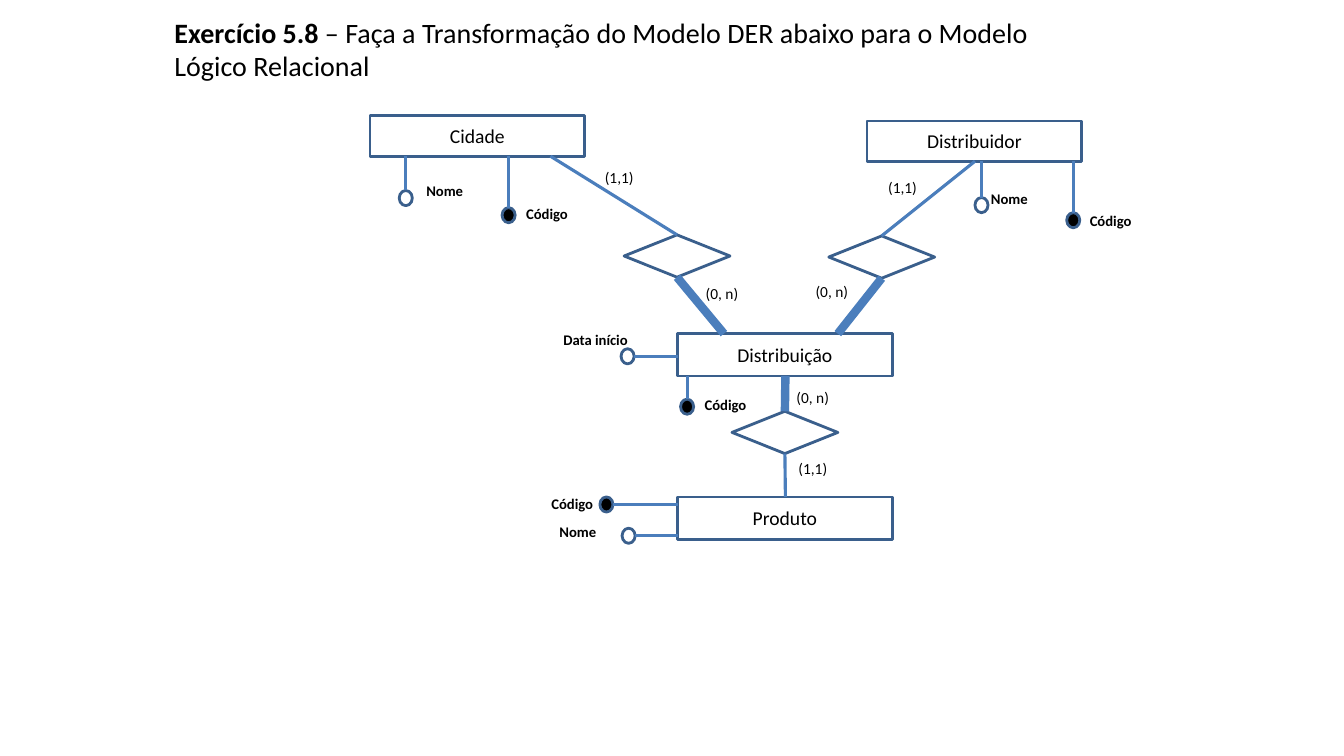
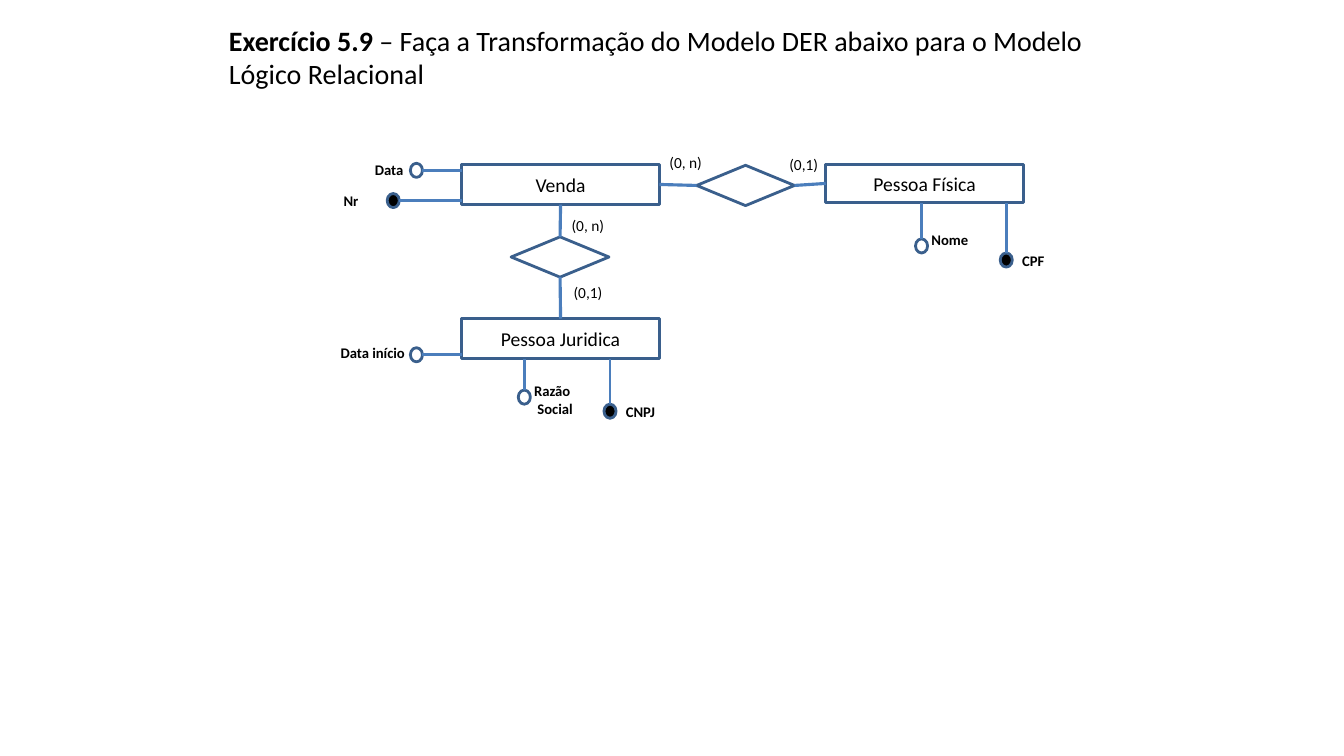
from lxml import etree
from pptx import Presentation
from pptx.dml.color import RGBColor
from pptx.enum.shapes import MSO_CONNECTOR, MSO_SHAPE
from pptx.enum.text import MSO_ANCHOR, MSO_AUTO_SIZE, PP_ALIGN
from pptx.oxml.ns import qn
from pptx.util import Inches, Pt

STRAIGHT = MSO_CONNECTOR.STRAIGHT
ENTITY = MSO_SHAPE.RECTANGLE
RELATION = MSO_SHAPE.FLOWCHART_DECISION
ATTRIBUTE = MSO_SHAPE.FLOWCHART_CONNECTOR
LEFT, CENTER = PP_ALIGN.LEFT, PP_ALIGN.CENTER
MIDDLE, NO_AUTOFIT = MSO_ANCHOR.MIDDLE, MSO_AUTO_SIZE.NONE

FONT = "Calibri"
COLORS = {"text": "000000", "paper": "FFFFFF", "outline": "3A5F8C", "line": "4B7EBC"}
TOP, WEST, BOTTOM, EAST = range(4)
THIN, MEDIUM, THICK = 2, 2.25, 6
TITLE_TEXT = " – Faça a Transformação do Modelo DER abaixo para o Modelo Lógico Relacional"
TITLE_SIZE = (9, 0.87)
LABEL_WIDTHS = {"Código": 0.68, "Nome": 0.62, "Data início": 0.93, "Data": 0.53,
                "Nr": 0.38, "CPF": 0.47, "CNPJ": 0.54, "Razão\n Social": 0.64}
CARDINALITY_WIDTH = 0.61
LABEL_HEIGHT = 0.29

# entities: name -> left, top, height
# relations: name -> left, top
# links: relation, corner, entity point, weight, cardinality, label left and top
# attributes: entity, label, label left and top, is key, circle left and top
DIAGRAMS = [
    {
        "heading": "Exercício 5.8",
        "title_at": (1.63, 0.05),
        "scale": 1,
        "entity_width": 2.13,
        "relation_size": (1.05, 0.42),
        "circle_size": (0.13, 0.15),
        "entities": {
            "Cidade": (3.67, 1.15, 0.4),
            "Distribuidor": (8.6, 1.2, 0.4),
            "Distribuição": (6.72, 3.31, 0.42),
            "Produto": (6.72, 4.93, 0.42),
        },
        "relations": {"city": (6.19, 2.33), "distributor": (8.22, 2.34), "product": (7.26, 4.08)},
        "links": [
            ("city", TOP, 5.46, 1.55, MEDIUM, "(1,1)", 5.9, 1.62),
            ("city", BOTTOM, 7.18, 3.31, THICK, "(0, n)", 6.9, 2.77),
            ("distributor", TOP, 9.67, 1.6, MEDIUM, "(1,1)", 8.71, 1.72),
            ("distributor", BOTTOM, 8.31, 3.31, THICK, "(0, n)", 7.99, 2.75),
            ("product", TOP, 7.79, 3.73, THICK, "(0, n)", 7.8, 3.8),
            ("product", BOTTOM, 7.79, 4.93, MEDIUM, "(1,1)", 7.82, 4.51),
        ],
        "attributes": [
            ("Cidade", "Nome", 4.13, 1.75, False, 3.96, 1.89),
            ("Cidade", "Código", 5.12, 1.98, True, 4.98, 2.06),
            ("Distribuidor", "Nome", 9.73, 1.83, False, 9.67, 1.96),
            ("Distribuidor", "Código", 10.71, 2.05, True, 10.58, 2.11),
            ("Distribuição", "Data início", 5.49, 3.23, False, 6.16, 3.46),
            ("Distribuição", "Código", 6.89, 3.88, True, 6.75, 3.96),
            ("Produto", "Código", 5.37, 4.86, True, 5.95, 4.93),
            ("Produto", "Nome", 5.45, 5.14, False, 6.17, 5.24),
        ],
    },
    {
        "heading": "Exercício 5.9",
        "title_at": (2.17, 0.13),
        "scale": 0.92,
        "entity_width": 1.96,
        "relation_size": (0.97, 0.4),
        "circle_size": (0.12, 0.14),
        "entities": {
            "Venda": (4.58, 1.63, 0.4),
            "Pessoa Física": (8.19, 1.63, 0.38),
            "Pessoa Juridica": (4.58, 3.16, 0.4),
        },
        "relations": {"person": (6.91, 1.64), "company": (5.07, 2.35)},
        "links": [
            ("person", WEST, 6.54, 1.83, MEDIUM, "(0, n)", 6.54, 1.47),
            ("person", EAST, 8.19, 1.82, MEDIUM, "(0,1)", 7.73, 1.49),
            ("company", TOP, 5.56, 2.03, MEDIUM, "(0, n)", 5.57, 2.09),
            ("company", BOTTOM, 5.56, 3.16, MEDIUM, "(0,1)", 5.59, 2.76),
        ],
        "attributes": [
            ("Venda", "Data", 3.62, 1.55, False, 4.07, 1.62),
            ("Venda", "Nr", 3.31, 1.85, True, 3.84, 1.92),
            ("Pessoa Física", "Nome", 9.14, 2.24, False, 9.08, 2.37),
            ("Pessoa Física", "CPF", 10.04, 2.45, True, 9.92, 2.51),
            ("Pessoa Juridica", "Data início", 3.28, 3.36, False, 4.07, 3.45),
            ("Pessoa Juridica", "Razão\n Social", 5.2, 3.74, False, 5.14, 3.87),
            ("Pessoa Juridica", "CNPJ", 6.11, 3.95, True, 5.99, 4.01),
        ],
    },
]


def add_line(slide, begin_x, begin_y, end_x, end_y, weight):
    points = [Inches(value) for value in (begin_x, begin_y, end_x, end_y)]
    connector = slide.shapes.add_connector(STRAIGHT, *points)
    connector.line.color.rgb = RGBColor.from_string(COLORS["line"])
    connector.line.width = Pt(weight)
    etree.SubElement(connector._element.spPr, qn("a:effectLst"))
    return connector


def add_label(slide, text, left, top, width, size, bold):
    box = slide.shapes.add_textbox(Inches(left), Inches(top), Inches(width), Inches(LABEL_HEIGHT))
    box.text_frame.word_wrap = not bold
    box.text_frame.text = text
    for paragraph in box.text_frame.paragraphs:
        paragraph.font.name = FONT
        paragraph.font.size = Pt(size)
        paragraph.font.bold = bold
        paragraph.font.color.rgb = RGBColor.from_string(COLORS["text"])


presentation = Presentation()
presentation.slide_width = Inches(13.33)
presentation.slide_height = Inches(7.5)

for diagram in DIAGRAMS:
    slide = presentation.slides.add_slide(presentation.slide_layouts[5])
    title = slide.shapes.title
    title.left, title.top = [Inches(value) for value in diagram["title_at"]]
    title.width, title.height = [Inches(value) for value in TITLE_SIZE]
    title.text_frame.auto_size = NO_AUTOFIT
    title.text_frame.vertical_anchor = MIDDLE
    paragraph = title.text_frame.paragraphs[0]
    paragraph.alignment = LEFT
    paragraph.font.name = FONT
    paragraph.font.size = Pt(20)
    paragraph.font.color.rgb = RGBColor.from_string(COLORS["text"])
    for text, bold in ((diagram["heading"], True), (TITLE_TEXT, False)):
        run = paragraph.add_run()
        run.text = text
        run.font.bold = bold

    entity_width = diagram["entity_width"]
    circle_width, circle_height = diagram["circle_size"]
    nodes = [(ENTITY, name, (left, top, entity_width, height), "paper")
             for name, (left, top, height) in diagram["entities"].items()]
    nodes += [(RELATION, name, (*corner, *diagram["relation_size"]), "paper")
              for name, corner in diagram["relations"].items()]
    nodes += [(ATTRIBUTE, label, (left, top, circle_width, circle_height), "text" if is_key else None)
              for _, label, _, _, is_key, left, top in diagram["attributes"]]

    relations = {}
    for kind, name, bounds, fill in nodes:
        shape = slide.shapes.add_shape(kind, *[Inches(value) for value in bounds])
        shape.shadow.inherit = False
        shape.line.color.rgb = RGBColor.from_string(COLORS["outline"])
        shape.line.width = Pt(THIN)
        if fill:
            shape.fill.solid()
            shape.fill.fore_color.rgb = RGBColor.from_string(COLORS[fill])
        else:
            shape.fill.background()
        if kind == RELATION:
            relations[name] = shape
        if kind == ENTITY:
            shape.text_frame.text = name
            shape.text_frame.vertical_anchor = MIDDLE
            paragraph = shape.text_frame.paragraphs[0]
            paragraph.alignment = CENTER
            paragraph.font.name = FONT
            paragraph.font.size = Pt(14)
            paragraph.font.color.rgb = RGBColor.from_string(COLORS["text"])

    for relation, corner, end_x, end_y, weight, cardinality, left, top in diagram["links"]:
        connector = add_line(slide, end_x, end_y, end_x, end_y, weight)
        connector.begin_connect(relations[relation], corner)
        add_label(slide, cardinality, left, top, CARDINALITY_WIDTH, 11, False)

    for entity, label, label_left, label_top, _, left, top in diagram["attributes"]:
        entity_left, entity_top, entity_height = diagram["entities"][entity]
        if left < entity_left:
            middle = top + circle_height / 2
            add_line(slide, left + circle_width, middle, entity_left, middle, THIN)
        else:
            center = left + circle_width / 2
            add_line(slide, center, top, center, entity_top + entity_height, THIN)
        width = LABEL_WIDTHS[label] * diagram["scale"]
        add_label(slide, label, label_left, label_top, width, 10.5, True)

presentation.save("out.pptx")
